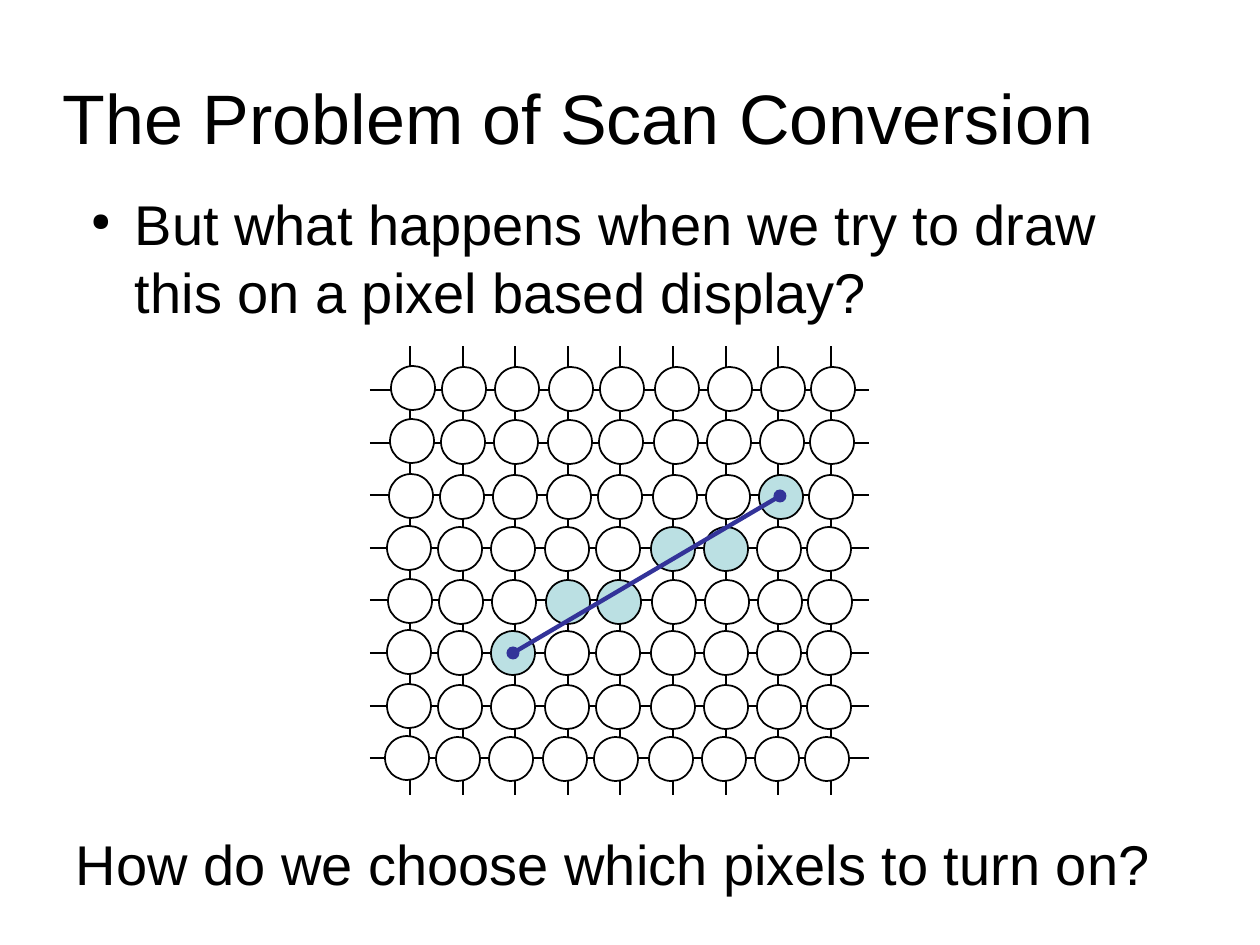
from lxml.etree import SubElement
from pptx import Presentation
from pptx.dml.color import RGBColor
from pptx.enum.shapes import MSO_CONNECTOR as CONNECTOR, MSO_SHAPE as SHAPE
from pptx.enum.text import MSO_ANCHOR as ANCHOR
from pptx.oxml.ns import qn
from pptx.util import Pt

PX = 914400 / 126
BLACK, WHITE, LIT, INK = "000000", "FFFFFF", "BBE0E3", "333399"

TITLE = "The Problem of Scan Conversion"
PROMPT = "But what happens when we try to draw this on a pixel based display?"
QUESTION = "How do we choose which pixels to turn on?"

TEXTS = [
    dict(text=PROMPT, box=(63, 184, 1134, 162), size=32, margin=(13, 6), bullet=True),
    dict(text=QUESTION, box=(63, 823, 1134, 96), size=32, margin=(13, 6)),
    dict(text=TITLE, box=(63, 38, 1134, 157), size=40, margin=(0, 0), anchor=ANCHOR.MIDDLE),
]

COLUMN_LEFTS = [391, 442, 495, 549, 600, 655, 708, 761, 811]
ROW_TOPS = [367, 420, 475, 527, 580, 631, 685, 737]
ROW_SHIFTS = [0, -1, -2, -4, -3, -4, -4, -6]
LIT_PIXELS = {(2, 5), (3, 4), (4, 4), (5, 3), (6, 3), (7, 2)}
DIAMETER = 44
PITCH = 52.6
GRID_X, GRID_Y = 410, 390
GRID_LEFT, GRID_RIGHT, GRID_TOP, GRID_BOTTOM = 370, 869, 346, 795
SEGMENT = (513, 653, 780, 496)


def emu(*lengths):
    return [round(length * PX) for length in lengths]


def color(value):
    return RGBColor.from_string(value)


def add_line(slide, ends, ink=BLACK, width=1, dots=False):
    line = slide.shapes.add_connector(CONNECTOR.STRAIGHT, *emu(*ends))
    line.line.color.rgb = color(ink)
    line.line.width = Pt(width)
    if dots:
        outline = line.line._get_or_add_ln()
        for end in ("a:headEnd", "a:tailEnd"):
            SubElement(outline, qn(end), type="oval")
    SubElement(line._element.spPr, qn("a:effectLst"))


def add_pixel(slide, left, top, fill):
    pixel = slide.shapes.add_shape(SHAPE.OVAL, *emu(left, top, DIAMETER, DIAMETER))
    pixel.shadow.inherit = False
    pixel.fill.solid()
    pixel.fill.fore_color.rgb = color(fill)
    pixel.line.color.rgb = color(BLACK)
    pixel.line.width = Pt(1)


def add_text(slide, text, box, size, margin, anchor=ANCHOR.TOP, bullet=False):
    frame = slide.shapes.add_textbox(*emu(*box)).text_frame
    side, edge = emu(*margin)
    layout = dict(word_wrap=True, vertical_anchor=anchor, margin_left=side,
                  margin_right=side, margin_top=edge, margin_bottom=edge)
    for name, value in layout.items():
        setattr(frame, name, value)
    paragraph = frame.paragraphs[0]
    paragraph.text = text
    if bullet:
        props = paragraph._p.get_or_add_pPr()
        hang, indent = emu(-44, 59)
        props.set("marL", str(indent))
        props.set("indent", str(hang))
        tint = SubElement(props, qn("a:buClr"))
        SubElement(tint, qn("a:srgbClr"), val=BLACK)
        SubElement(props, qn("a:buSzPct"), val="45000")
        SubElement(props, qn("a:buChar"), char="●")
    for name, value in dict(name="Arial", size=Pt(size)).items():
        setattr(paragraph.font, name, value)
    paragraph.font.color.rgb = color(BLACK)


def main():
    deck = Presentation()
    deck.slide_width, deck.slide_height = emu(1260, 945)
    slide = deck.slides.add_slide(deck.slide_layouts[6])

    for column in range(len(COLUMN_LEFTS)):
        x = round(GRID_X + column * PITCH)
        add_line(slide, (x, GRID_BOTTOM, x, GRID_TOP))
    for row in range(len(ROW_TOPS)):
        y = round(GRID_Y + row * PITCH)
        add_line(slide, (GRID_LEFT, y, GRID_RIGHT, y))

    for row, (top, shift) in enumerate(zip(ROW_TOPS, ROW_SHIFTS)):
        for column, left in enumerate(COLUMN_LEFTS):
            fill = LIT if (column, row) in LIT_PIXELS else WHITE
            add_pixel(slide, left + shift, top - (column == 0), fill)

    add_line(slide, SEGMENT, INK, 2.5, dots=True)
    for item in TEXTS:
        add_text(slide, **item)
    deck.save("out.pptx")


if __name__ == "__main__":
    main()
